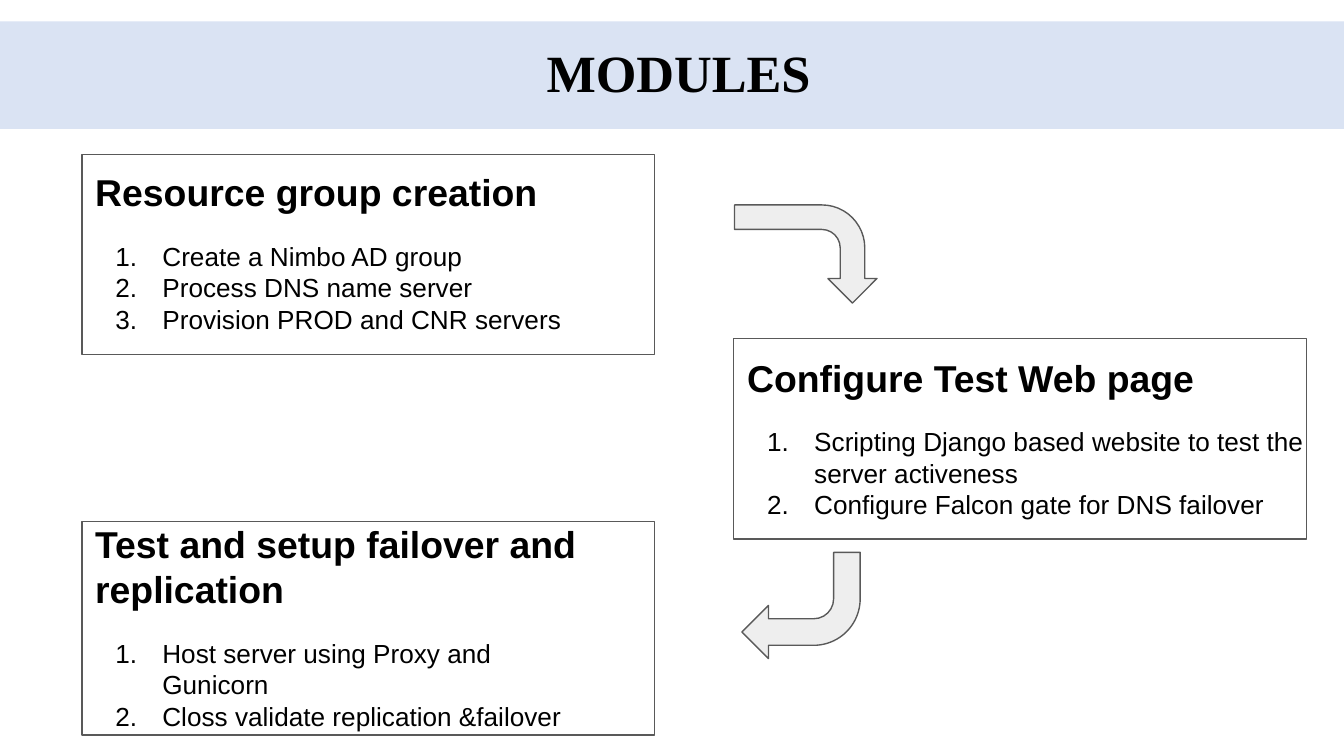
from lxml.etree import SubElement
from pptx import Presentation
from pptx.dml.color import RGBColor
from pptx.enum.shapes import MSO_SHAPE
from pptx.enum.text import MSO_ANCHOR, MSO_AUTO_SIZE, PP_ALIGN
from pptx.oxml.ns import qn
from pptx.util import Emu, Pt

EMU_PER_PX = 9144
SLIDE_WIDTH = 1000
BLACK = "000000"
OUTLINE = "595959"
MODULES = [
    ((61, 115, 426, 149), (61, 116, 411, 145), "Resource group creation",
     ["Create a Nimbo AD group", "Process DNS name server",
      "Provision PROD and CNR servers"]),
    ((546, 252, 426, 149), (546, 254, 445, 145), "Configure Test Web page",
     ["Scripting Django based website to test the server activeness",
      "Configure Falcon gate for DNS failover"]),
    ((61, 388, 426, 159), (61, 378, 384, 178),
     "Test and setup failover and replication",
     ["Host server using Proxy and Gunicorn",
      "Closs validate replication &failover"]),
]
ARROWS = [((563, 136, 73, 106), 90), ((552, 411, 88, 79), 180)]


def px(length):
    """Turn whole pixels into EMU."""
    return Emu(length * EMU_PER_PX)


def color(hex_value):
    """Turn a hex string into a colour."""
    return RGBColor.from_string(hex_value)


def set_margins(frame, horizontal, vertical):
    """Set the inner margins of a text frame."""
    frame.margin_left = frame.margin_right = px(horizontal)
    frame.margin_top = frame.margin_bottom = px(vertical)


def write(paragraph, text, size, font="Arial", bold=False, before=0):
    """Put one formatted run into a paragraph."""
    paragraph.space_before = Pt(before)
    run = paragraph.add_run()
    run.text = text
    run.font.name = font
    run.font.size = Pt(size)
    run.font.bold = bold
    run.font.color.rgb = color(BLACK)


def number(paragraph):
    """Give a paragraph a hanging automatic number."""
    properties = paragraph._p.get_or_add_pPr()
    properties.set("marL", str(px(50)))
    properties.set("indent", str(px(-35)))
    bullet_color = SubElement(properties, qn("a:buClr"))
    SubElement(bullet_color, qn("a:srgbClr"), val=BLACK)
    SubElement(properties, qn("a:buAutoNum"), type="arabicPeriod")


def add_outlined(slide, preset, box, fill=None):
    """Add an outlined shape, hollow unless a fill is given."""
    shape = slide.shapes.add_shape(preset, *map(px, box))
    shape.shadow.inherit = False
    if fill:
        shape.fill.solid()
        shape.fill.fore_color.rgb = color(fill)
    else:
        shape.fill.background()
    shape.line.color.rgb = color(OUTLINE)
    shape.line.width = Pt(0.75)
    return shape


def add_module(slide, frame_box, text_box, heading, steps):
    """Add a framed module with its heading and numbered steps."""
    add_outlined(slide, MSO_SHAPE.RECTANGLE, frame_box)
    frame = slide.shapes.add_textbox(*map(px, text_box)).text_frame
    frame.word_wrap = True
    frame.auto_size = MSO_AUTO_SIZE.SHAPE_TO_FIT_TEXT
    set_margins(frame, 10, 10)
    write(frame.paragraphs[0], heading, 20, bold=True)
    for index, step in enumerate(steps):
        item = frame.add_paragraph()
        write(item, step, 14, before=0 if index else 14)
        number(item)


def add_flow_arrow(slide, box, rotation):
    """Add a bent arrow leading to the next module."""
    arrow = add_outlined(slide, MSO_SHAPE.BENT_ARROW, box, fill="EEEEEE")
    arrow.rotation = rotation


def format_title(title):
    """Turn the title placeholder into a full-width banner."""
    banner = (0, 16, SLIDE_WIDTH, 80)
    title.left, title.top, title.width, title.height = map(px, banner)
    title.fill.solid()
    title.fill.fore_color.rgb = color("DAE3F3")
    frame = title.text_frame
    frame.auto_size = MSO_AUTO_SIZE.NONE
    frame.vertical_anchor = MSO_ANCHOR.MIDDLE
    set_margins(frame, 7, 4)
    paragraph = frame.paragraphs[0]
    paragraph.alignment = PP_ALIGN.CENTER
    paragraph.line_spacing = 0.9
    write(paragraph, " MODULES", 28, font="Times New Roman", bold=True)


def main():
    """Build and save the modules slide."""
    deck = Presentation()
    deck.slide_width = px(SLIDE_WIDTH)
    deck.slide_height = deck.slide_width * 9 // 16
    slide = deck.slides.add_slide(deck.slide_layouts[5])
    format_title(slide.shapes.title)
    for module in MODULES:
        add_module(slide, *module)
    for box, rotation in ARROWS:
        add_flow_arrow(slide, box, rotation)
    deck.save("out.pptx")


if __name__ == "__main__":
    main()
